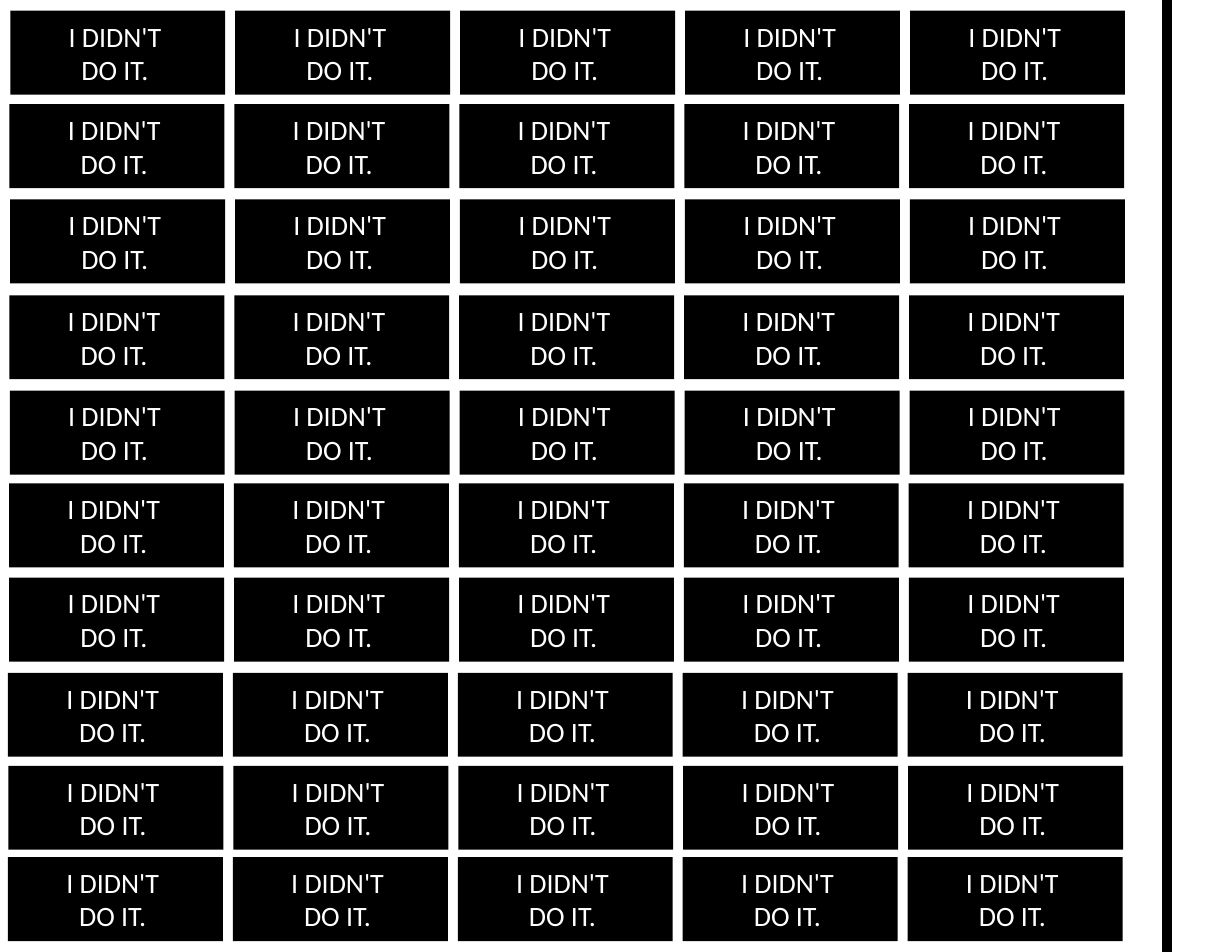
"""Builds a sheet of identical black labels with a cutting line at the right."""
from dataclasses import dataclass

from lxml.etree import SubElement
from pptx import Presentation
from pptx.dml.color import RGBColor
from pptx.enum.shapes import MSO_CONNECTOR, MSO_SHAPE
from pptx.enum.text import MSO_AUTO_SIZE, PP_ALIGN
from pptx.oxml.ns import qn
from pptx.slide import Slide
from pptx.util import Pt

COLORS = {"label": "000000", "text": "FFFFFF", "line": "000000"}
WORDING = ("I DIDN'T", "DO IT.")
COLUMNS = 5
COLUMN_PITCH = 144.6
LABEL_W, LABEL_H = 138.2, 54
TEXT_DX, TEXT_DY = 28.4, 1.8
TEXT_W, TEXT_H = 77.8, 50.9
CUT_X, CUT_W = 750.2, 6.5
SLIDE_W, SLIDE_H = 792, 612


@dataclass(frozen=True)
class Row:
    """Position of the first label in a row."""
    left: float
    top: float


ROWS = (
    Row(6.6, 6.9), Row(6.1, 67), Row(6.5, 128.2), Row(6, 189.8),
    Row(6.3, 251.1), Row(5.8, 310.8), Row(5.9, 371.3), Row(5.1, 432.5),
    Row(5.4, 492.3), Row(5.1, 551),
)


def add_label(slide: Slide, left: float, top: float) -> None:
    """Draws one label and its centred wording."""
    sp = slide.shapes.add_shape(
        MSO_SHAPE.RECTANGLE, Pt(left), Pt(top), Pt(LABEL_W), Pt(LABEL_H))
    sp.shadow.inherit = False
    sp.fill.solid()
    sp.fill.fore_color.rgb = RGBColor.from_string(COLORS["label"])
    sp.line.fill.background()

    box = slide.shapes.add_textbox(
        Pt(left + TEXT_DX), Pt(top + TEXT_DY), Pt(TEXT_W), Pt(TEXT_H))
    tf = box.text_frame
    tf.word_wrap = False
    tf.auto_size = MSO_AUTO_SIZE.SHAPE_TO_FIT_TEXT
    tf.text = "\n".join(WORDING)
    for p in tf.paragraphs:
        p.alignment = PP_ALIGN.CENTER
        p.font.name = "Calibri"
        p.font.size = Pt(18)
        p.font.color.rgb = RGBColor.from_string(COLORS["text"])


def add_cut_line(slide: Slide) -> None:
    """Draws the full-height vertical line."""
    line = slide.shapes.add_connector(
        MSO_CONNECTOR.STRAIGHT, Pt(CUT_X), Pt(0), Pt(CUT_X), Pt(SLIDE_H))
    line.line.width = Pt(CUT_W)
    line.line.color.rgb = RGBColor.from_string(COLORS["line"])
    SubElement(line._element.spPr, qn("a:effectLst"))


def main() -> None:
    """Builds and saves the sheet."""
    prs = Presentation()
    prs.slide_width, prs.slide_height = Pt(SLIDE_W), Pt(SLIDE_H)
    slide = prs.slides.add_slide(prs.slide_layouts[6])
    for col in range(COLUMNS):
        for row in ROWS:
            add_label(slide, row.left + col * COLUMN_PITCH, row.top)
    add_cut_line(slide)
    prs.save("out.pptx")


if __name__ == "__main__":
    main()
